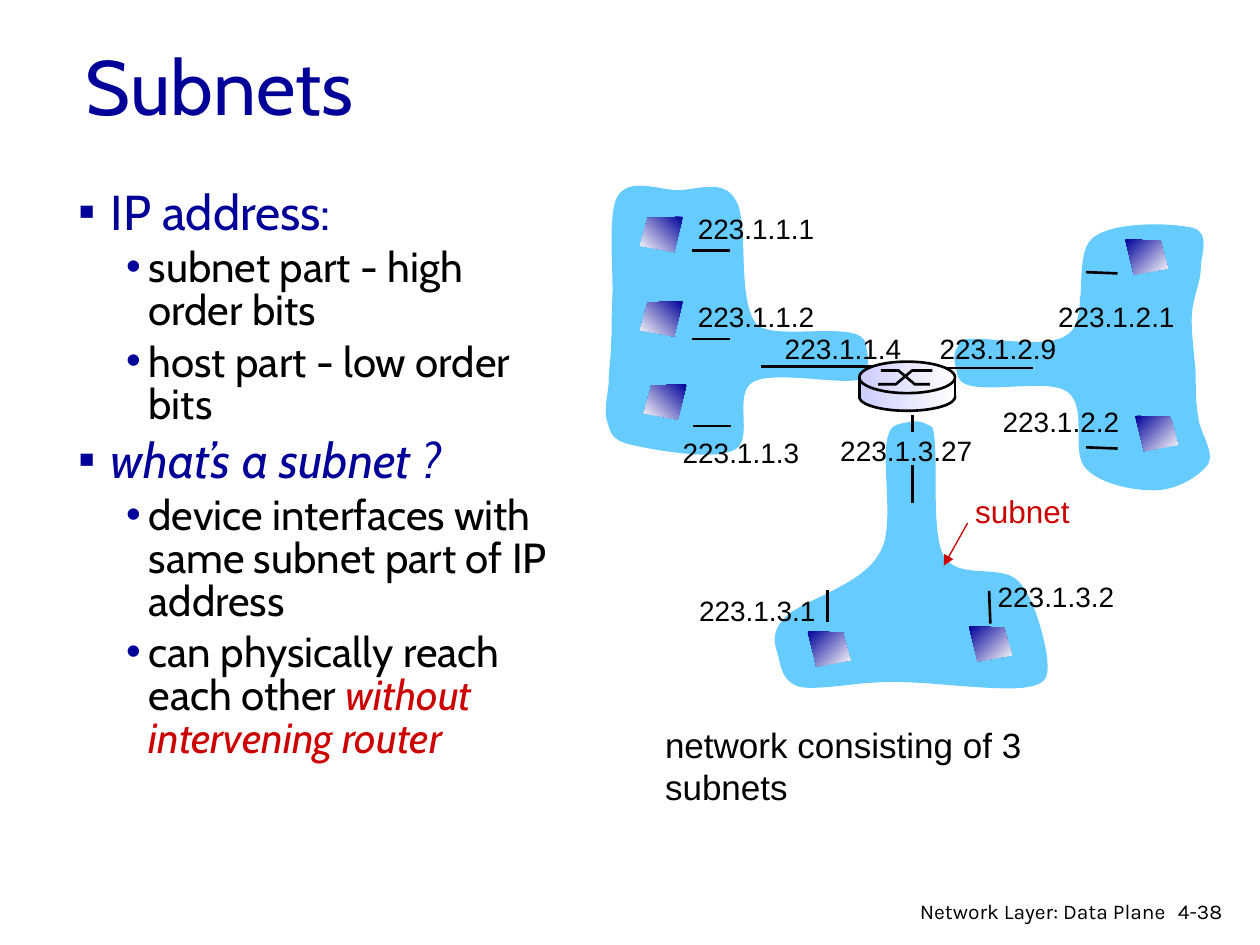
from lxml.etree import SubElement
from pptx import Presentation
from pptx.dml.color import RGBColor
from pptx.enum.shapes import MSO_CONNECTOR, MSO_SHAPE
from pptx.enum.text import MSO_ANCHOR, MSO_AUTO_SIZE, PP_ALIGN
from pptx.oxml.ns import qn
from pptx.util import Inches, Pt

COLORS = {"navy": "000099", "black": "000000", "red": "CC0000",
          "sky": "66CCFF", "lilac": "CCCCFF", "white": "FFFFFF"}

BLOBS = [
    [(2.07, 1.33),
     (2.04, 1.13), (1.37, 1.31), (1.21, 1.18), (1.04, 0.99), (1.15, 0.37), (1.04, 0.19),
     (0.94, 0.01), (0.73, 0.11), (0.57, 0.11), (0.41, 0.1), (0.19, 0.01), (0.1, 0.16),
     (0.02, 0.3), (0.07, 0.77), (0.06, 0.96), (0.05, 1.15), (0.06, 1.2), (0.05, 1.32),
     (0.05, 1.43), (0.03, 1.54), (0.03, 1.65), (0.02, 1.75), (-0.01, 1.87), (0.02, 1.95),
     (0.05, 2.03), (0.04, 2.09), (0.21, 2.13), (0.38, 2.17), (0.87, 2.26), (1.03, 2.17),
     (1.19, 2.09), (1.01, 1.72), (1.18, 1.63), (1.35, 1.54), (1.88, 1.66), (2.03, 1.61),
     (2.09, 1.51), (2.11, 1.53), (2.07, 1.33)],
    [(2.8, 1.58),
     (2.84, 1.78), (3.5, 1.58), (3.67, 1.71), (3.84, 1.83), (3.69, 2.19), (3.82, 2.32),
     (3.94, 2.45), (4.23, 2.5), (4.39, 2.49), (4.56, 2.48), (4.73, 2.37), (4.79, 2.28),
     (4.84, 2.18), (4.72, 2.03), (4.71, 1.91), (4.69, 1.79), (4.69, 1.69), (4.69, 1.56),
     (4.68, 1.42), (4.65, 1.22), (4.66, 1.09), (4.67, 0.95), (4.73, 0.84), (4.73, 0.73),
     (4.73, 0.62), (4.81, 0.45), (4.67, 0.41), (4.52, 0.37), (4.04, 0.35), (3.87, 0.49),
     (3.71, 0.63), (3.85, 1.12), (3.68, 1.25), (3.51, 1.39), (2.98, 1.25), (2.83, 1.3),
     (2.78, 1.4), (2.75, 1.38), (2.8, 1.58)],
    [(2.32, 1.97),
     (2.12, 2.03), (2.34, 2.75), (2.18, 2.99), (2.04, 3.25), (1.57, 3.36), (1.43, 3.5),
     (1.3, 3.64), (1.36, 3.73), (1.38, 3.82), (1.4, 3.91), (1.42, 4.01), (1.54, 4.05),
     (1.66, 4.08), (1.94, 4.03), (2.1, 4.02), (2.26, 4.01), (2.29, 4.01), (2.5, 4.02),
     (2.71, 4.03), (3.2, 4.09), (3.37, 4.05), (3.53, 4.02), (3.52, 3.95), (3.51, 3.81),
     (3.49, 3.67), (3.41, 3.34), (3.28, 3.21), (3.14, 3.07), (2.8, 3.21), (2.69, 3.01),
     (2.58, 2.81), (2.66, 2.17), (2.6, 1.99), (2.51, 1.95), (2.52, 1.92), (2.32, 1.97)],
]
LINKS = [(0.69, 0.59, 0.99, 0.59), (0.69, 1.29, 0.99, 1.29), (0.7, 1.98, 1, 1.98),
         (1.24, 1.51, 2.14, 1.51), (2.7, 1.52, 3.4, 1.52), (3.82, 0.76, 4.07, 0.77),
         (3.82, 2.15, 4.07, 2.16), (2.44, 1.89, 2.44, 2.59),
         (1.77, 3.54, 1.77, 3.28), (3.06, 3.55, 3.05, 3.29)]
PATCHES = [(0.81, 0.97), (3.77, 0.95), (3.77, 1.83), (2.29, 2.03)]
HOSTS = [(0.28, 0.32, True), (0.28, 0.99, True), (0.31, 1.65, True),
         (4.13, 0.5, False), (4.21, 1.9, False), (2.89, 3.57, False), (1.61, 3.61, False)]
LABELS = [("1.1", 0.64, 0.23), ("1.2", 0.64, 0.93), ("1.3", 0.52, 2.01), ("1.4", 1.33, 1.18),
          ("2.1", 3.5, 0.93), ("2.2", 3.06, 1.76), ("2.9", 2.56, 1.18),
          ("3.1", 0.65, 3.26), ("3.2", 3.02, 3.15), ("3.27", 1.77, 1.99)]


def rgb(name):
    """Return a named colour."""
    return RGBColor.from_string(COLORS[name])


def write(para, text, size, font, color, slant=False):
    """Add one run to a paragraph."""
    run = para.add_run()
    run.text = text
    run.font.size, run.font.name, run.font.italic = Pt(size), font, slant
    run.font.color.rgb = rgb(color)


def place(shape, box):
    """Move a shape to a box in inches."""
    shape.left, shape.top, shape.width, shape.height = map(Inches, box)


def label(slide, box, text, size, font="Arial", color="black", wrap=False):
    """Add a text box with one run and return its frame."""
    frame = slide.shapes.add_textbox(*map(Inches, box)).text_frame
    frame.word_wrap = wrap
    write(frame.paragraphs[0], text, size, font, color)
    return frame


def paint(shape, stops=None, angle=0, line=False):
    """Set the fill and outline of a shape: no, one or two colours."""
    shape.shadow.inherit = False
    if not stops:
        shape.fill.background()
    elif len(stops) == 1:
        shape.fill.solid()
        shape.fill.fore_color.rgb = rgb(stops[0])
    else:
        shape.fill.gradient()
        shape.fill.gradient_angle = angle
        for stop, name in zip(shape.fill.gradient_stops, stops):
            stop.color.rgb = rgb(name)
    if line:
        shape.line.color.rgb, shape.line.width = rgb("black"), Pt(1.5)
    else:
        shape.line.fill.background()


def outline(slide, x, y, points, close=True):
    """Draw a freeform from points relative to a corner."""
    spots = [(Inches(x + a), Inches(y + b)) for a, b in points]
    form = slide.shapes.build_freeform(*spots[0], scale=1.0)
    form.add_line_segments(spots[1:], close=close)
    return form.convert_to_shape()


def bend(shape):
    """Turn each three segments of a freeform into one cubic curve."""
    legs = list(shape._element.iter(qn("a:lnTo")))
    for first, second, third in zip(legs[::3], legs[1::3], legs[2::3]):
        first.tag = qn("a:cubicBezTo")
        for leg in (second, third):
            first.append(leg[0])
            leg.getparent().remove(leg)
    return shape


def link(slide, x, y, ends, color="black", width=1.5, arrow=False):
    """Draw a straight line relative to a corner."""
    a, b, c, d = ends
    line = slide.shapes.add_connector(
        MSO_CONNECTOR.STRAIGHT, *map(Inches, (x + a, y + b, x + c, y + d)))
    line.line.color.rgb, line.line.width = rgb(color), Pt(width)
    props = line._element.spPr
    if arrow:
        SubElement(props.find(qn("a:ln")), qn("a:tailEnd"), type="triangle")
    SubElement(props, qn("a:effectLst"))


def heading(slide, box):
    """Fill the title."""
    title = slide.shapes.title
    place(title, box)
    frame = title.text_frame
    frame.vertical_anchor = MSO_ANCHOR.MIDDLE
    frame.paragraphs[0].alignment = PP_ALIGN.LEFT
    write(frame.paragraphs[0], "Subnets", 44, "Cabin", "navy")


def points(slide, box):
    """Fill the bullet list."""
    body = slide.placeholders[1]
    place(body, box)
    frame = body.text_frame
    frame.auto_size = MSO_AUTO_SIZE.NONE
    items = [(0, [("IP address:", "navy", False)]),
             (1, [("subnet part - high order bits", "black", False)]),
             (1, [("host part - low order bits", "black", False)]),
             (0, [("what’s a subnet ?", "navy", True)]),
             (1, [("device interfaces with same subnet part of IP address", "black", False)]),
             (1, [("can physically reach each other ", "black", False),
                  ("without intervening router", "red", True)])]
    for i, (level, runs) in enumerate(items):
        para = frame.add_paragraph() if i else frame.paragraphs[0]
        size, mark, left, hang = [(28, "▪", 0.26, 0.26), (24, "•", 0.56, 0.18)][level]
        para.level = level
        props = para._p.get_or_add_pPr()
        props.set("marL", str(Inches(left)))
        props.set("indent", str(-Inches(hang)))
        tint = SubElement(props, qn("a:buClr"))
        SubElement(tint, qn("a:srgbClr"), val=COLORS["navy"])
        SubElement(props, qn("a:buChar"), char=mark)
        para.line_spacing = 0.85
        para.space_before = Pt(size * 0.2 if i else 0)
        for text, color, slant in runs:
            write(para, text, size, "Cabin", color, slant)


def host(slide, x, y, flip):
    """Draw a host, mirrored when flip is set."""
    shape = [(0, 0), (0.28, 0.01), (0.34, 0.23), (0.07, 0.28)]
    if flip:
        shape = [(0.34 - a, b) for a, b in shape]
    paint(outline(slide, x, y, shape), ("navy", "white"), 225 if flip else 315)


def router(slide, box):
    """Draw the router drum with its crossed arrows."""
    x, y, w, h = box
    for kind, top, tall, line in [(MSO_SHAPE.OVAL, h - 0.22, 0.22, True),
                                  (MSO_SHAPE.RECTANGLE, 0.15, 0.13, False),
                                  (MSO_SHAPE.OVAL, 0, 0.25, True)]:
        part = slide.shapes.add_shape(kind, *map(Inches, (x, y + top, w, tall)))
        paint(part, ("lilac", "white"), line=line)
    for cross in ([(0.15, 0.18), (0.29, 0.18), (0.42, 0.07), (0.58, 0.07)],
                  [(0.17, 0.07), (0.31, 0.07), (0.44, 0.18), (0.56, 0.18)]):
        paint(outline(slide, x, y, cross, close=False), line=True)
    for side in (0, w):
        link(slide, x, y, (side, 0.12, side, 0.29))


def network(slide, box):
    """Draw three subnets around a router."""
    x, y, w, h = box
    for knots in BLOBS:
        paint(bend(outline(slide, x, y, knots)), ("sky",))
    for ends in LINKS:
        link(slide, x, y, ends)
    for a, b in PATCHES:
        patch = slide.shapes.add_shape(
            MSO_SHAPE.RECTANGLE, *map(Inches, (x + a, y + b, 0.32, 0.26)))
        paint(patch, ("sky",))
    for end, a, b in LABELS:
        wide = 1.13 if len(end) == 3 else 1.25
        label(slide, (x + a, y + b, wide, 0.37), "223.1." + end, 16)
    for a, b, flip in HOSTS:
        host(slide, x + a, y + b, flip)
    router(slide, (x + 2.02, y + 1.47, 0.76, 0.39))
    label(slide, (x + 2.84, y + 2.46, 0.95, 0.4), "subnet", 18, color="red")
    link(slide, x, y, (2.88, 2.75, 2.69, 3.09), "red", 0.75, arrow=True)
    note = label(slide, (x + 0.38, y + h + 0.19, 4.07, 0.43),
                 "network consisting of 3 subnets", 20, wrap=True)
    note.margin_right = Inches(0.5)


def footer(slide, box):
    """Add the chapter name and page number."""
    x, y, w, h = box
    label(slide, (x + w - 0.61, y, 0.61, h), "4-38", 12, "Karla", wrap=True)
    name = label(slide, (x, y, 2.38, 0.26), "Network Layer: Data Plane", 12, "Karla", wrap=True)
    name.paragraphs[0].alignment = PP_ALIGN.RIGHT


def main():
    """Build and save the slide."""
    deck = Presentation()
    deck.slide_width, deck.slide_height = Inches(10), Inches(7.5)
    slide = deck.slides.add_slide(deck.slide_layouts[1])
    heading(slide, (0.58, 0.25, 4.05, 0.84))
    points(slide, (0.52, 1.46, 4.04, 5.08))
    network(slide, (4.8, 1.4, 4.84, 4.1))
    footer(slide, (6.97, 7.08, 2.89, 0.3))
    deck.save("out.pptx")


if __name__ == "__main__":
    main()
